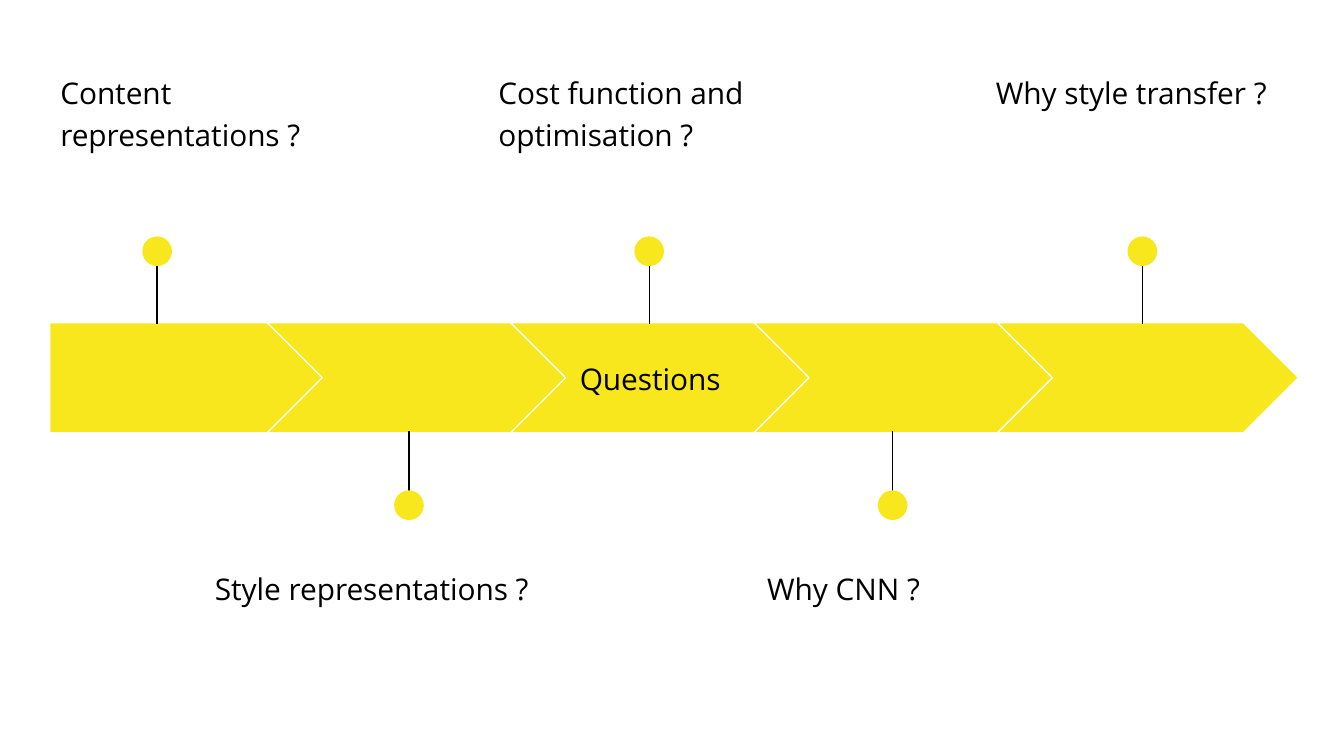
"""Build a slide with a five-step chevron timeline of questions."""
from lxml.etree import SubElement
from pptx import Presentation
from pptx.dml.color import RGBColor
from pptx.enum.shapes import MSO_CONNECTOR as Connector, MSO_SHAPE as Shape
from pptx.enum.text import MSO_ANCHOR as Anchor, PP_ALIGN as Align
from pptx.oxml.ns import qn
from pptx.util import Cm, Pt

YELLOW = RGBColor(0xF8, 0xE7, 0x1C)
WHITE = RGBColor(0xFF, 0xFF, 0xFF)
BLACK = RGBColor(0x00, 0x00, 0x00)

HEADING = "Questions"
# Each step: label, label left, label width, stem position
STEPS = [
    ("Content representations ?", 0.89, 6.22, 2.97),
    ("Style representations ?", 3.81, 6.78, 7.73),
    ("Cost function and optimisation ?", 9.17, 6.22, 12.27),
    ("Why CNN ?", 14.25, 6.22, 16.87),
    ("Why style transfer ?", 18.57, 6.22, 21.59),
]
ABOVE = {"label": 1.07, "dot": 4.47, "stem": (4.57, 6.12)}
BELOW = {"label": 10.44, "dot": 9.27, "stem": (9.7, 8.15)}

BAR_TOP, BAR_HEIGHT = 6.1, 2.08
FIRST_LEFT, FIRST_WIDTH = 0.94, 5.21
CHEVRON_LEFT, CHEVRON_WIDTH, CHEVRON_STEP = 5.05, 5.69, 4.6
DOT_SIZE = 0.56


def add_filled(page, kind, left, top, width, height, outlined=False):
    shape = page.shapes.add_shape(kind, Cm(left), Cm(top), Cm(width), Cm(height))
    shape.shadow.inherit = False
    shape.fill.solid()
    shape.fill.fore_color.rgb = YELLOW
    if outlined:
        shape.line.color.rgb = WHITE
        shape.line.width = Pt(0.75)
    else:
        shape.line.fill.background()


def add_stem(page, center, start, end):
    stem = page.shapes.add_connector(
        Connector.STRAIGHT, Cm(center), Cm(start), Cm(center), Cm(end))
    stem.line.color.rgb = BLACK
    stem.line.width = Pt(0.75)
    SubElement(stem._element.spPr, qn("a:effectLst"))


def add_text(page, text, left, top, width, height):
    box = page.shapes.add_textbox(Cm(left), Cm(top), Cm(width), Cm(height))
    frame = box.text_frame
    frame.word_wrap = True
    frame.margin_left = frame.margin_right = Cm(0.25)
    frame.margin_top = frame.margin_bottom = Cm(0.25)
    para = frame.paragraphs[0]
    para.text = text
    para.font.name = "Open Sans"
    para.font.size = Pt(16)
    para.font.color.rgb = BLACK
    return frame


def main():
    deck = Presentation()
    deck.slide_width, deck.slide_height = Cm(25.4), Cm(14.29)
    page = deck.slides.add_slide(deck.slide_layouts[6])

    add_filled(page, Shape.PENTAGON, FIRST_LEFT, BAR_TOP, FIRST_WIDTH, BAR_HEIGHT, True)
    for index in range(len(STEPS) - 1):
        left = CHEVRON_LEFT + index * CHEVRON_STEP
        add_filled(page, Shape.CHEVRON, left, BAR_TOP, CHEVRON_WIDTH, BAR_HEIGHT, True)

    for index, (label, left, width, center) in enumerate(STEPS):
        side = BELOW if index % 2 else ABOVE
        add_stem(page, center, *side["stem"])
        add_filled(page, Shape.OVAL, center - DOT_SIZE / 2, side["dot"], DOT_SIZE, DOT_SIZE)
        para = add_text(page, label, left, side["label"], width, 2.51).paragraphs[0]
        para.line_spacing = 1.15
        para.space_after = Pt(12)

    heading = add_text(page, HEADING, 10.46, 6.5, 3.66, 1.3)
    heading.vertical_anchor = Anchor.MIDDLE
    heading.paragraphs[0].alignment = Align.CENTER

    deck.save("out.pptx")


if __name__ == "__main__":
    main()
